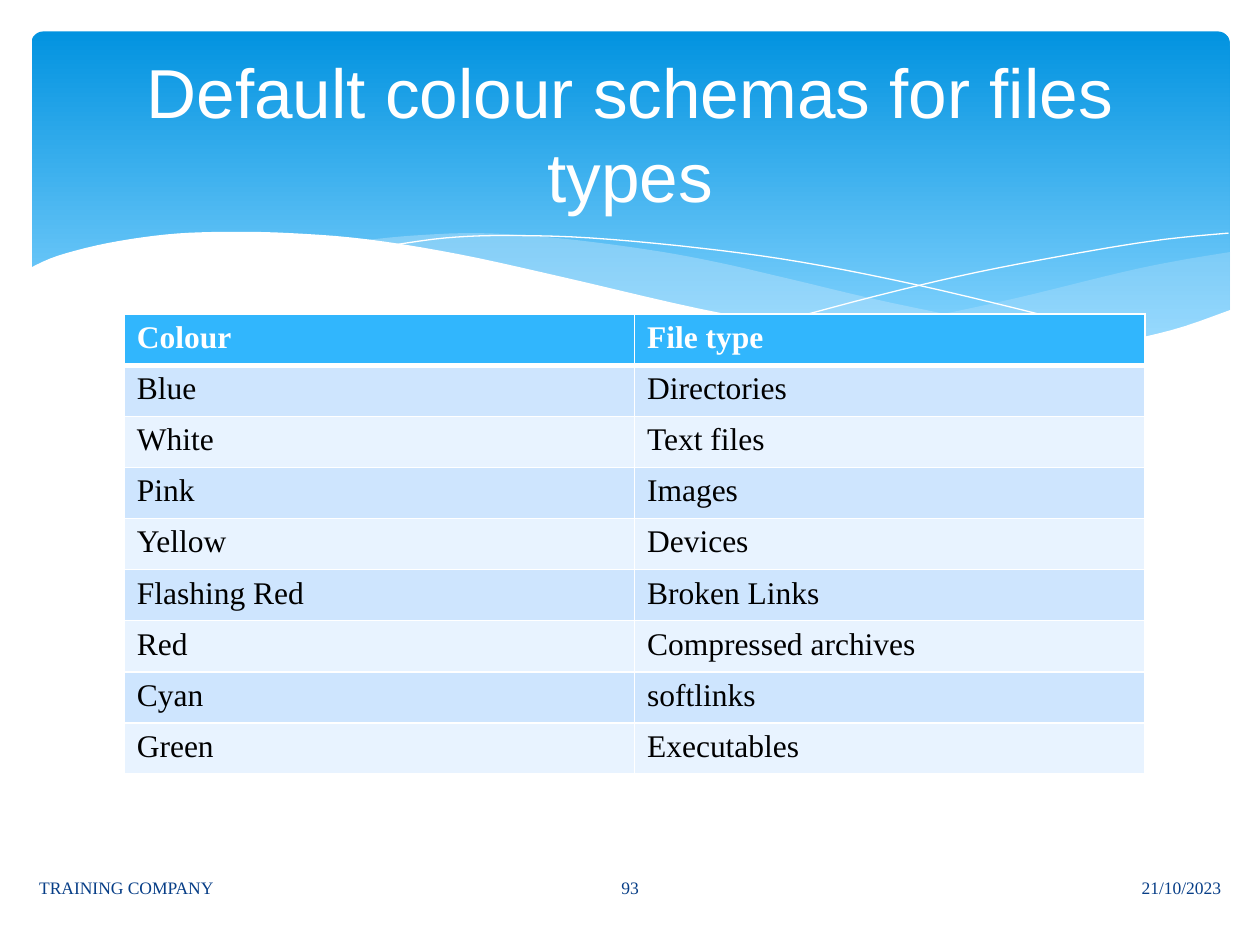
from lxml import etree
from pptx import Presentation
from pptx import util as u
from pptx.dml import color
from pptx.enum import text
from pptx.oxml import ns

Pt = u.Pt
COLORS = {"white": "FFFFFF", "black": "000000", "sky": "0293E0", "pale": "83D3FE",
          "mist": "C6E7FC", "header": "31B6FD", "odd": "CEE5FE", "even": "E8F3FF",
          "navy": "073E87"}
ALIGN = text.PP_ALIGN
ROWS = [("Colour", "File type"), ("Blue", "Directories"), ("White", "Text files"),
        ("Pink", "Images"), ("Yellow", "Devices"), ("Flashing Red", "Broken Links"),
        ("Red", "Compressed archives"), ("Cyan", "softlinks"), ("Green", "Executables")]

RIGHT_SWELL = [
    [(685, 126), (655, 131), (623.5, 137.5), (561.6, 152.6), (507, 164.2), (458, 172.8)],
    [(458, 172.8), (499.7, 177.8), (560.2, 182.2), (609.8, 179.3), (650.2, 171.4), (685, 159.8)]]
MIDDLE_SWELL = [
    [(625, 178.6), (563, 169.2), (490.3, 154.8), (435, 141.8), (391.7, 131.8),
     (352, 124.6), (300.2, 118), (255.6, 115.2), (218.2, 116.6), (188, 119.5)],
    [(188, 119.5), (228.2, 125.3), (273, 134), (305.3, 141.8), (363.6, 154.8),
     (427, 167.8), (482.4, 176.4), (530, 181.4), (571, 182.2), (625, 178.6)]]
FALLING_LINE = [
    [(204.5, 122.4), (236.2, 118), (270.7, 116.6), (319.7, 118), (382.3, 123.8),
     (440, 131.8), (505.4, 144.7), (580.3, 162.7), (635, 177.8)]]
RISING_LINE = [
    [(423.4, 167), (482.4, 151.2), (540.7, 137.5), (605.5, 125.3), (647.3, 118.8), (684, 115.2)]]
FRONT_WAVE = [
    [(685.4, 159), (651.6, 170.6), (612, 178.6), (564.5, 181.4), (504.7, 177.8),
     (448.6, 170.6), (381.6, 158.4), (303.8, 140.4), (244.8, 127.4), (192.2, 118.8),
     (147.6, 115.2), (109.4, 114.5), (77, 116), (43.2, 121), (15, 128.2), (-1.4, 135.4)],
    [(-1.4, 219), (685.4, 219)]]


def rgb(name):
    return color.RGBColor.from_string(COLORS[name])


def smooth(knots, steps=5):
    ends = [knots[0], *knots, knots[-1]]
    for a, b, c, d in zip(ends, ends[1:], ends[2:], ends[3:]):
        for t in (i / steps for i in range(steps)):
            yield tuple(
                (2 * q + (r - p) * t + (2 * p - 5 * q + 4 * r - w) * t ** 2
                 + (3 * q - p - 3 * r + w) * t ** 3) / 2
                for p, q, r, w in zip(a, b, c, d))
    yield knots[-1]


def add_curve(s, left, top, runs, fill=None, alpha=100):
    points = [(Pt(left + x), Pt(top + y)) for run in runs for x, y in smooth(run)]
    builder = s.shapes.build_freeform(*points[0], scale=1.0)
    builder.add_line_segments(points[1:], close=fill is not None)
    sp = builder.convert_to_shape()
    sp.shadow.inherit = False
    if fill:
        sp.fill.solid()
        sp.fill.fore_color.rgb = rgb(fill)
        sp.line.fill.background()
        if alpha < 100:
            clr = sp.fill._xPr.find(".//" + ns.qn("a:srgbClr"))
            etree.SubElement(clr, ns.qn("a:alpha"), val=str(alpha * 1000))
    else:
        sp.fill.background()
        sp.line.color.rgb = rgb("white")
        sp.line.width = Pt(0)


def add_band(s, left, top, width, height):
    sp = s.shapes.add_shape(5, Pt(left), Pt(top), Pt(width), Pt(height))
    sp.adjustments[0] = 0.034
    sp.shadow.inherit = False
    sp.line.fill.background()
    sp.fill.gradient()
    sp.fill.gradient_angle = 270
    for stop, name, position in zip(sp.fill.gradient_stops, ("sky", "pale"), (0, 0.9)):
        stop.color.rgb = rgb(name)
        stop.position = position
    add_curve(s, left, top, RIGHT_SWELL, "mist", 29)
    add_curve(s, left, top, MIDDLE_SWELL, "mist", 40)
    add_curve(s, left, top, FALLING_LINE)
    add_curve(s, left, top, RISING_LINE)
    add_curve(s, left, top, FRONT_WAVE, "white")


def write(tf, words, fill, align=ALIGN.LEFT, **formats):
    p = tf.paragraphs[0]
    p.alignment = align
    r = p.add_run()
    r.text = words
    for name, value in formats.items():
        setattr(r.font, name, value)
    r.font.color.rgb = rgb(fill)


def add_text(s, left, top, width, height, words, fill, align, **formats):
    tf = s.shapes.add_textbox(Pt(left), Pt(top), Pt(width), Pt(height)).text_frame
    tf.word_wrap = True
    tf.vertical_anchor = text.MSO_ANCHOR.MIDDLE
    write(tf, words, fill, align, **formats)


def add_borders(cell, widths):
    tc_pr = cell._tc.get_or_add_tcPr()
    for side, width in widths.items():
        ln = etree.SubElement(tc_pr, ns.qn("a:ln" + side), w=str(Pt(width)))
        solid = etree.SubElement(ln, ns.qn("a:solidFill"))
        etree.SubElement(solid, ns.qn("a:srgbClr"), val=COLORS["white"])


def add_colour_table(s, left, top, width, height):
    table = s.shapes.add_table(len(ROWS), 2, Pt(left), Pt(top), Pt(width), Pt(height)).table
    for i, row in enumerate(ROWS):
        header = i == 0
        fill = "header" if header else "odd" if i % 2 else "even"
        for j, words in enumerate(row):
            cell = table.cell(i, j)
            add_borders(cell, {"L": 1, "R": 1, "T": 3 if i == 1 else 1, "B": 3 if header else 1})
            cell.fill.solid()
            cell.fill.fore_color.rgb = rgb(fill)
            write(cell.text_frame, words, "white" if header else "black",
                  name="Times New Roman", size=Pt(18), bold=header)


def add_footer(s, left, top, width, height):
    side, middle = 298, 91.5
    gap = (width - 2 * side - middle) / 2
    parts = [("TRAINING COMPANY", side, ALIGN.LEFT), ("93", middle, ALIGN.CENTER),
             ("21/10/2023", side, ALIGN.RIGHT)]
    for words, part_width, align in parts:
        add_text(s, left, top, part_width, height, words, "navy", align,
                 name="Times New Roman", size=Pt(10))
        left += part_width + gap


def main():
    prs = Presentation()
    prs.slide_width, prs.slide_height = Pt(720), Pt(540)
    s = prs.slides.add_slide(prs.slide_layouts[6])
    add_band(s, 18, 18, 684.7, 194.4)
    add_colour_table(s, 71, 179.5, 583.2, 262.8)
    add_footer(s, 15.3, 492.5, 689.5, 28.8)
    add_text(s, 36, 26.6, 648, 98.6, "Default colour schemas for files types", "white",
             ALIGN.CENTER, name="Arial", size=Pt(39.6))
    prs.save("out.pptx")


if __name__ == "__main__":
    main()
